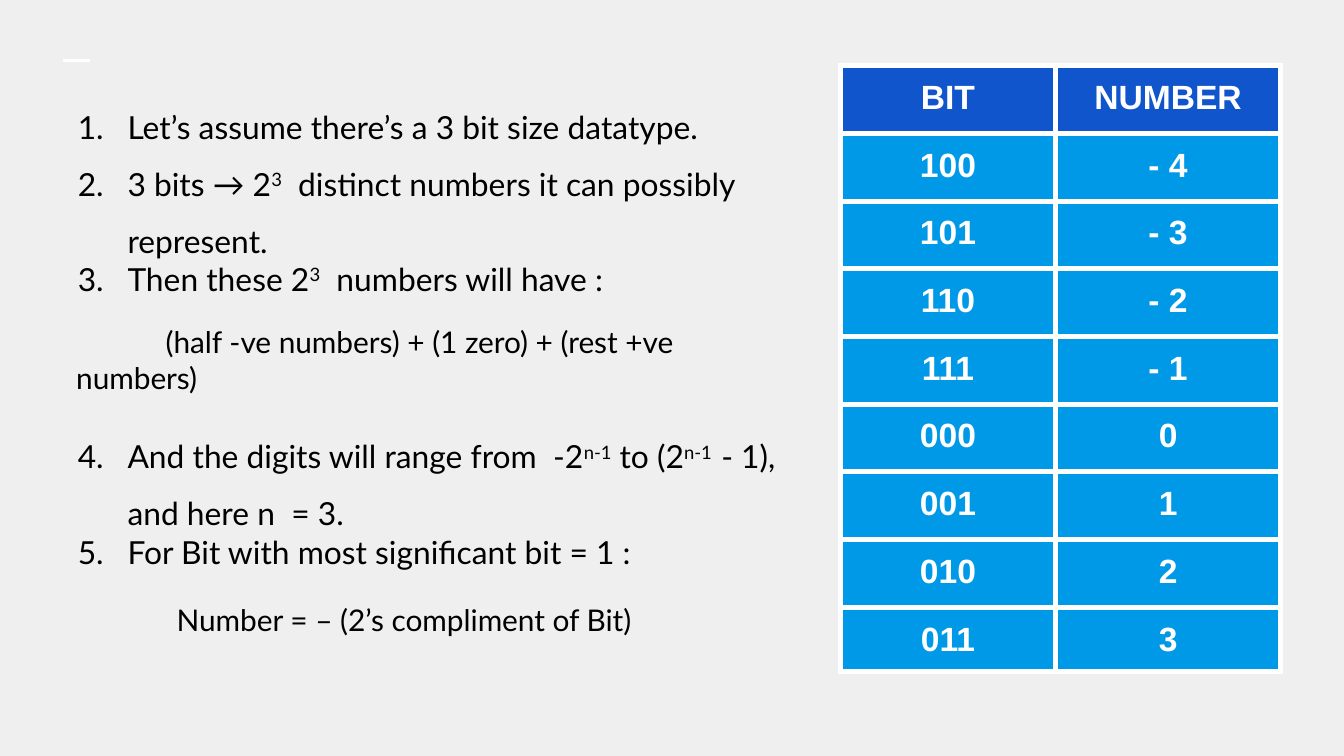
import pptx
import pptx.util
import pptx.dml.color
import pptx.enum.shapes
import pptx.enum.text
import pptx.oxml
import pptx.oxml.ns
import lxml.etree

Cm = pptx.util.Cm
Pt = pptx.util.Pt
qn = pptx.oxml.ns.qn
hues = {"back": "EFEFEF", "ink": "000000", "white": "FFFFFF",
        "head": "1155CC", "cell": "0099E8"}


def tint(name):
    return pptx.dml.color.RGBColor.from_string(hues[name])


def style(run, font, size, hue):
    run.font.name = font
    run.font.size = Pt(size)
    run.font.color.rgb = tint(hue)


deck = pptx.Presentation()
deck.slide_width = Cm(25.4)
deck.slide_height = Cm(14.29)
slide = deck.slides.add_slide(deck.slide_layouts[1])
slide.background.fill.solid()
slide.background.fill.fore_color.rgb = tint("back")
title = slide.shapes.title.element
title.getparent().remove(title)

dash = slide.shapes.add_connector(
    pptx.enum.shapes.MSO_CONNECTOR.STRAIGHT, Cm(1.19), Cm(1.15), Cm(1.7), Cm(1.15))
dash.line.color.rgb = tint("white")
dash.line.width = Pt(1.5)
lxml.etree.SubElement(dash.element.spPr, qn("a:effectLst"))

body = slide.placeholders[1]
body.left, body.top, body.width, body.height = Cm(1.19), Cm(1.42), Cm(13.9), Cm(11.84)
frame = body.text_frame
frame.word_wrap = True
frame.auto_size = pptx.enum.text.MSO_AUTO_SIZE.NONE
frame.vertical_anchor = pptx.enum.text.MSO_ANCHOR.TOP
frame.margin_left = frame.margin_right = Cm(0.25)
frame.margin_top = frame.margin_bottom = Cm(0.25)

# start, first indent, line spacing, before, after, size, runs (odd ones raised)
items = [
    (1, -0.94, 1.5, 0, 0, 17, ["Let’s assume there’s a 3 bit size datatype."]),
    (1, -0.94, 1.5, 0, 0, 17,
     ["3 bits → 2", "3", "  distinct numbers it can possibly represent."]),
    (1, -0.94, 1, 0, 0, 17, ["Then these 2", "3", "  numbers will have :"]),
    (0, 1.69, 1, 14, 0, 16, ["(half -ve numbers) + (1 zero) + (rest +ve numbers)"]),
    (4, -0.94, 1.5, 12, 0, 17,
     ["And the digits will range from  -2", "n-1", " to (2", "n-1  ",
      "- 1), and here n  = 3."]),
    (4, -0.94, 1, 0, 0, 17, ["For Bit with most significant bit = 1 :"]),
    (0, 1.9, 1, 17, 12, 16, ["Number = – (2’s compliment of Bit)"]),
]
for pos, (start, dent, lead, above, below, size, parts) in enumerate(items):
    para = frame.paragraphs[0] if pos == 0 else frame.add_paragraph()
    para.line_spacing = float(lead)
    para.space_before = Pt(above)
    para.space_after = Pt(below)
    props = para._p.get_or_add_pPr()
    props.set("marL", str(Cm(0.97) if start else 0))
    props.set("indent", str(Cm(dent)))
    if start:
        color = lxml.etree.SubElement(props, qn("a:buClr"))
        lxml.etree.SubElement(color, qn("a:srgbClr"), val=hues["ink"])
        lxml.etree.SubElement(props, qn("a:buFont"), typeface="Lato")
        lxml.etree.SubElement(props, qn("a:buAutoNum"),
                              type="arabicPeriod", startAt=str(start))
    else:
        lxml.etree.SubElement(props, qn("a:buNone"))
    for spot, part in enumerate(parts):
        run = para.add_run()
        run.text = part
        style(run, "Lato", size, "ink")
        if spot % 2:
            run.font._element.set("baseline", "30000")

rows = [("BIT", "NUMBER"), ("100", "- 4"), ("101", "- 3"), ("110", "- 2"),
        ("111", "- 1"), ("000", "0"), ("001", "1"), ("010", "2"), ("011", "3")]
table = slide.shapes.add_table(
    len(rows), 2, Cm(15.88), Cm(1.24), Cm(8.32), Cm(11.4)).table
table.columns[0].width = Cm(4.07)
table.columns[1].width = Cm(4.25)
for y, row in enumerate(rows):
    table.rows[y].height = Cm(1.28 if y < len(rows) - 1 else 1.17)
    for x, text in enumerate(row):
        cell = table.cell(y, x)
        cell.margin_left = cell.margin_right = Cm(0.25)
        cell.margin_top = cell.margin_bottom = Cm(0.25)
        para = cell.text_frame.paragraphs[0]
        para.alignment = pptx.enum.text.PP_ALIGN.CENTER
        run = para.add_run()
        run.text = text
        style(run, "Arial", 18, "white")
        run.font.bold = True
        props = cell._tc.get_or_add_tcPr()
        for side in ("L", "R", "T", "B"):
            edge = lxml.etree.SubElement(props, qn("a:ln" + side), w=str(Pt(3)))
            fill = lxml.etree.SubElement(edge, qn("a:solidFill"))
            lxml.etree.SubElement(fill, qn("a:srgbClr"), val=hues["white"])
        cell.fill.solid()
        cell.fill.fore_color.rgb = tint("cell" if y else "head")

deck.save("out.pptx")
